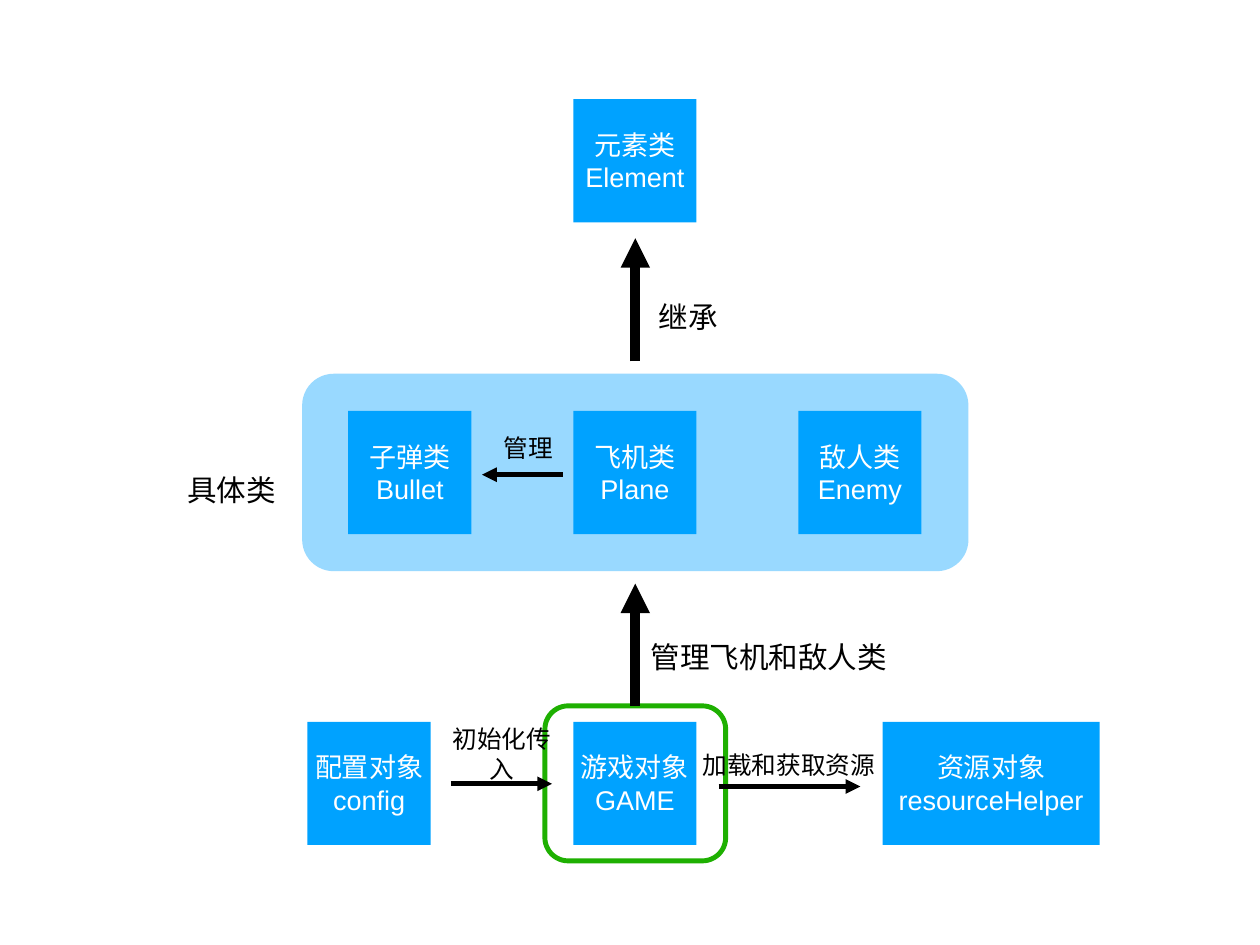
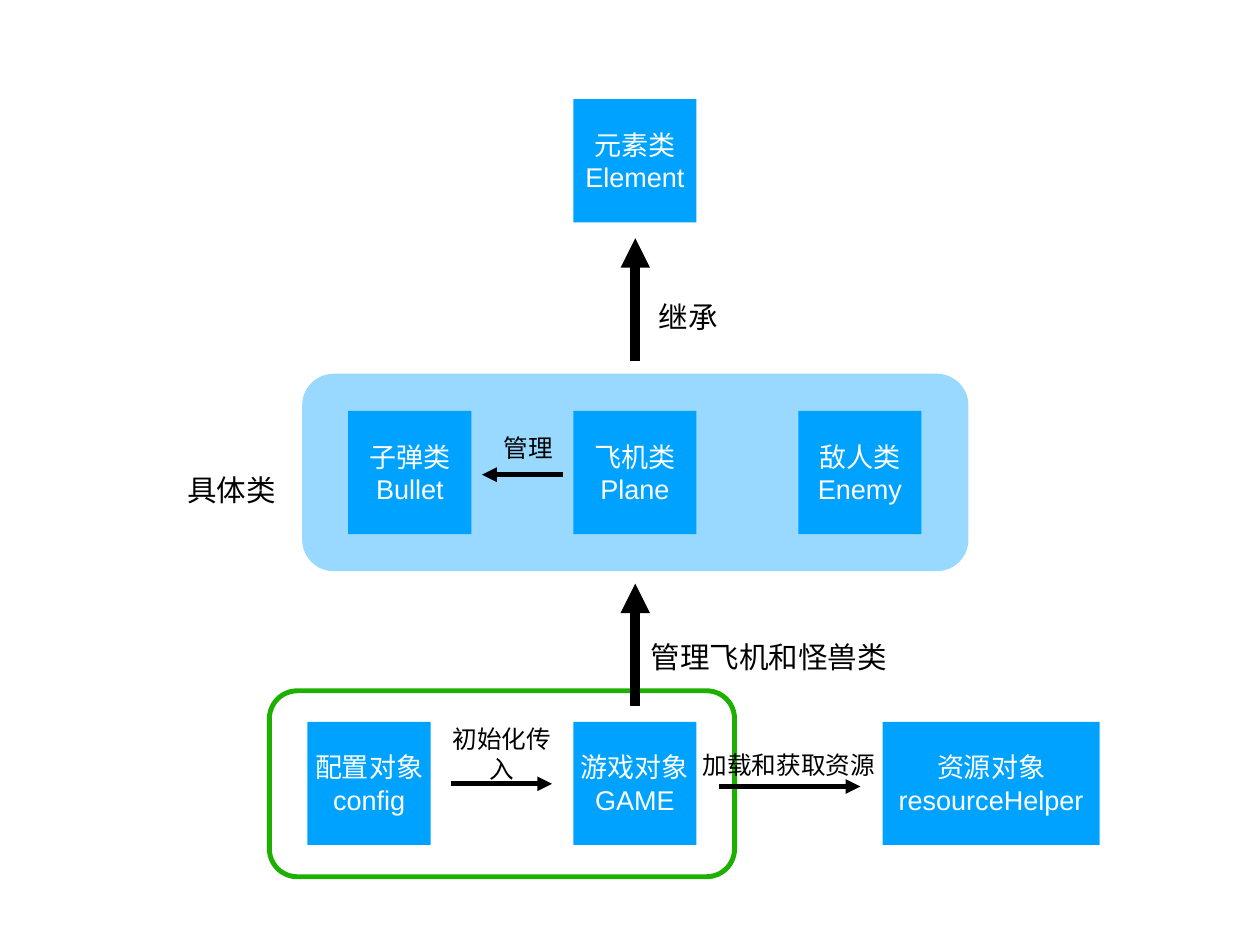
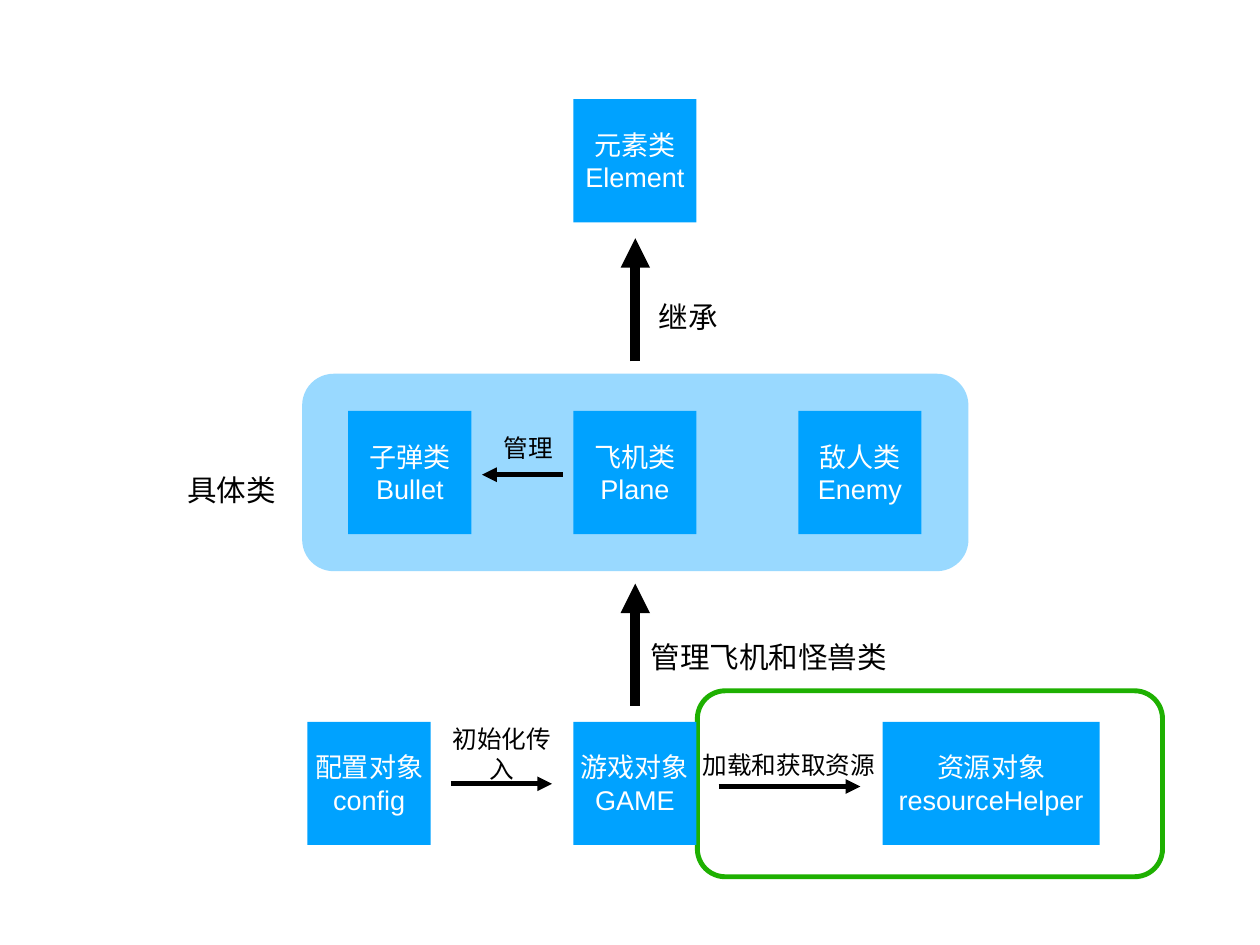
import lxml.etree
import pptx
import pptx.util
import pptx.dml.color
import pptx.enum.shapes
import pptx.enum.text
import pptx.oxml.ns

Inches, Pt = pptx.util.Inches, pptx.util.Pt
Kind = pptx.enum.shapes.MSO_SHAPE
qn = pptx.oxml.ns.qn

# Shared style
FONT = "Arial"
BLUE, PALE, GREEN = "00A2FF", "56C1FF", "1EB001"
WHITE, BLACK = "FFFFFF", "000000"
PAD = 0.06
SIDE = 1.39
MID, STEP = 6.47, 2.54
TOP, CLASS, BASE = 1.12, 4.64, 8.15
AXIS = 7.17

# Content: boxes as name, code, left, top, width
BOXES = [
    ("元素类", "Element", MID, TOP, SIDE),
    ("子弹类", "Bullet", MID - STEP, CLASS, SIDE),
    ("飞机类", "Plane", MID, CLASS, SIDE),
    ("敌人类", "Enemy", MID + STEP, CLASS, SIDE),
    ("配置对象", "config", 3.47, BASE, SIDE),
    ("游戏对象", "GAME", MID, BASE, SIDE),
    ("资源对象", "resourceHelper", 9.96, BASE, 2.45),
]
BAND = (3.41, 4.22, 7.52, 2.23)

# Labels as text, left, top, width, height, size
LABELS = [
    ("继承", 7.37, 3.29, 0.79, 0.57, 24),
    ("具体类", 2.05, 5.25, 1.13, 0.57, 24),
    ("管理", 5.62, 4.81, 0.68, 0.5, 20),
    ("初始化传入", 4.91, 8.26, 1.51, 0.5, 20),
    ("加载和获取资源", 7.87, 8.38, 2.07, 0.5, 20),
]
ROLE_AT = (7.28, 7.13, 2.79, 0.57, 24)

# Arrows as start, tip, weight
ARROWS = [
    ((AXIS, 4.08), (AXIS, 2.69), 8),
    ((6.35, 5.36), (5.44, 5.36), 4),
    ((5.09, 8.85), (6.23, 8.85), 4),
    ((8.11, 8.88), (9.71, 8.88), 4),
]
RISE = ((AXIS, 7.97), (AXIS, 6.59), 8)

# Slides as role text, green frame, whether the rising arrow starts on it
SLIDES = [
    ("管理飞机和敌人类", (6.15, 7.97, 2.04, 1.75), True),
    ("管理飞机和怪兽类", (3.04, 7.8, 5.25, 2.1), False),
    ("管理飞机和怪兽类", (7.87, 7.8, 5.25, 2.1), False),
]


def color(code):
    return pptx.dml.color.RGBColor.from_string(code)


def write(shape, lines, size, ink, wrap):
    frame = shape.text_frame
    frame.word_wrap = wrap
    frame.vertical_anchor = pptx.enum.text.MSO_ANCHOR.MIDDLE
    frame.margin_left = frame.margin_right = Inches(PAD)
    frame.margin_top = frame.margin_bottom = Inches(PAD)
    frame.text = "\n".join(lines)
    for para in frame.paragraphs:
        para.alignment = pptx.enum.text.PP_ALIGN.CENTER
        para.font.name = FONT
        para.font.size = Pt(size)
        para.font.color.rgb = color(ink)


def block(slide, kind, area, fill=None, line=None, bend=None):
    shape = slide.shapes.add_shape(kind, *map(Inches, area))
    shape.shadow.inherit = False
    if fill:
        shape.fill.solid()
        shape.fill.fore_color.rgb = color(fill)
    else:
        shape.fill.background()
    if line:
        shape.line.color.rgb = color(line)
        shape.line.width = Pt(4)
    else:
        shape.line.fill.background()
    if bend:
        shape.adjustments[0] = bend
    return shape


def fade(shape, percent):
    node = shape.element.spPr.find(".//" + qn("a:srgbClr"))
    lxml.etree.SubElement(node, qn("a:alpha"), val=str(percent * 1000))


def label(slide, text, left, top, width, height, size):
    box = slide.shapes.add_textbox(*map(Inches, (left, top, width, height)))
    write(box, [text], size, BLACK, False)


def arrow(slide, start, tip, weight):
    link = slide.shapes.add_connector(
        pptx.enum.shapes.MSO_CONNECTOR.STRAIGHT, *map(Inches, start + tip))
    link.line.color.rgb = color(BLACK)
    link.line.width = Pt(weight)
    props = link.element.spPr
    lxml.etree.SubElement(props.find(qn("a:ln")), qn("a:tailEnd"), type="triangle")
    lxml.etree.SubElement(props, qn("a:effectLst"))
    return link


def build(deck, role, area, joined):
    slide = deck.slides.add_slide(deck.slide_layouts[6])
    # Green frame and class band
    focus = block(slide, Kind.ROUNDED_RECTANGLE, area, line=GREEN, bend=0.15)
    band = block(slide, Kind.ROUNDED_RECTANGLE, BAND, fill=PALE, bend=0.16)
    fade(band, 60)
    # Boxes
    for name, code, left, top, width in BOXES:
        box = block(slide, Kind.RECTANGLE, (left, top, width, SIDE), fill=BLUE)
        write(box, [name, code], 22, WHITE, True)
    # Arrows
    for start, tip, weight in ARROWS:
        arrow(slide, start, tip, weight)
    rise = arrow(slide, *RISE)
    if joined:
        rise.begin_connect(focus, 0)
    # Labels
    for item in LABELS:
        label(slide, *item)
    label(slide, role, *ROLE_AT)


def main():
    deck = pptx.Presentation()
    deck.slide_width, deck.slide_height = Inches(14.22), Inches(10.67)
    for role, area, joined in SLIDES:
        build(deck, role, area, joined)
    deck.save("out.pptx")


if __name__ == "__main__":
    main()
